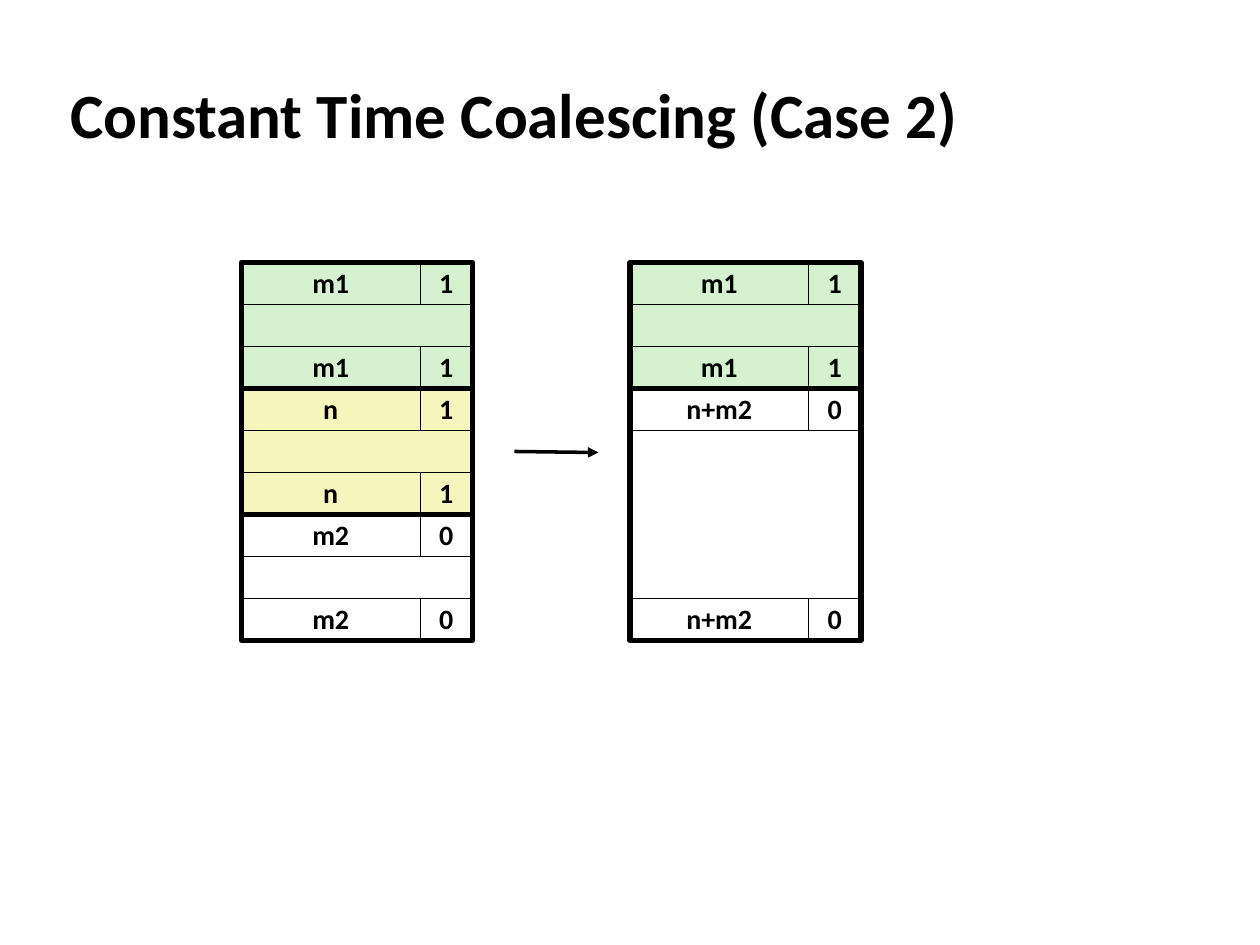
import pptx
import pptx.dml.color
import pptx.enum.shapes
import pptx.enum.text
import pptx.oxml
import pptx.util
from lxml import etree

UNIT = pptx.util.Inches(1) / 12  # grid step; all lengths below count these
ROW = 4
SIZE_WIDTH, FLAG_WIDTH = 17, 5
BLOCK_WIDTH = SIZE_WIDTH + FLAG_WIDTH
STACK_TOP = 25
FONT = "Calibri"
BLACK, WHITE, GREEN, YELLOW = "000000", "FFFFFF", "D5F1CF", "F6F5BD"

# size label, allocated flag, fill, rows
BEFORE = [("m1", "1", GREEN, 3), ("n", "1", YELLOW, 3), ("m2", "0", WHITE, 3)]
AFTER = [("m1", "1", GREEN, 3), ("n+m2", "0", WHITE, 6)]


def color(value):
    return pptx.dml.color.RGBColor.from_string(value)


def grid(*counts):
    return [round(count * UNIT) for count in counts]


def write(frame, text, size, align):
    frame.vertical_anchor = pptx.enum.text.MSO_ANCHOR.MIDDLE
    paragraph = frame.paragraphs[0]
    paragraph.alignment = align
    run = paragraph.add_run()
    run.text = text
    run.font.name = FONT
    run.font.size = pptx.util.Pt(size)
    run.font.bold = True
    run.font.color.rgb = color(BLACK)
    return paragraph


def add_cell(slide, left, top, width, height, fill=None, text="", weight=0.25):
    cell = slide.shapes.add_shape(
        pptx.enum.shapes.MSO_SHAPE.RECTANGLE, *grid(left, top, width, height))
    cell.shadow.inherit = False
    if fill:
        cell.fill.solid()
        cell.fill.fore_color.rgb = color(fill)
    else:
        cell.fill.background()
    cell.line.color.rgb = color(BLACK)
    cell.line.width = pptx.util.Pt(weight)
    if text:
        cell.text_frame.word_wrap = False
        paragraph = write(cell.text_frame, text, 16, pptx.enum.text.PP_ALIGN.CENTER)
        paragraph.line_spacing = 0.98


def add_block(slide, left, top, label, flag, fill, rows):
    """Memory block: header and footer tags around a payload, in a thick frame."""
    for tag_top in (top, top + (rows - 1) * ROW):
        add_cell(slide, left, tag_top, SIZE_WIDTH, ROW, fill, label)
        add_cell(slide, left + SIZE_WIDTH, tag_top, FLAG_WIDTH, ROW, fill, flag)
    add_cell(slide, left, top + ROW, BLOCK_WIDTH, (rows - 2) * ROW, fill)
    add_cell(slide, left, top, BLOCK_WIDTH, rows * ROW, weight=3)


def add_heap(slide, left, top, blocks):
    for label, flag, fill, rows in blocks:
        add_block(slide, left, top, label, flag, fill, rows)
        top += rows * ROW


def add_arrow(slide, left, top, right, bottom):
    arrow = slide.shapes.add_connector(
        pptx.enum.shapes.MSO_CONNECTOR.STRAIGHT, *grid(left, top, right, bottom))
    arrow.line.color.rgb = color(BLACK)
    arrow.line.width = pptx.util.Pt(2)
    head = etree.SubElement(arrow.line._get_or_add_ln(), pptx.oxml.ns.qn("a:tailEnd"))
    head.set("type", "triangle")
    etree.SubElement(arrow._element.spPr, pptx.oxml.ns.qn("a:effectLst"))


def add_title(slide, left, top, width, height, text):
    title = slide.shapes.add_textbox(*grid(left, top, width, height))
    title.text_frame.word_wrap = True
    write(title.text_frame, text, 36, pptx.enum.text.PP_ALIGN.LEFT)


def main():
    deck = pptx.Presentation()
    deck.slide_width = pptx.util.Inches(10)
    deck.slide_height = pptx.util.Inches(7.5)
    slide = deck.slides.add_slide(deck.slide_layouts[6])
    add_title(slide, 5.5, 7, 109, 7.5, "Constant Time Coalescing (Case 2)")
    add_heap(slide, 23, STACK_TOP, BEFORE)
    add_arrow(slide, 49, STACK_TOP + 4.5 * ROW, 57, STACK_TOP + 4.5 * ROW + 0.1)
    add_heap(slide, 60, STACK_TOP, AFTER)
    deck.save("out.pptx")


if __name__ == "__main__":
    main()
